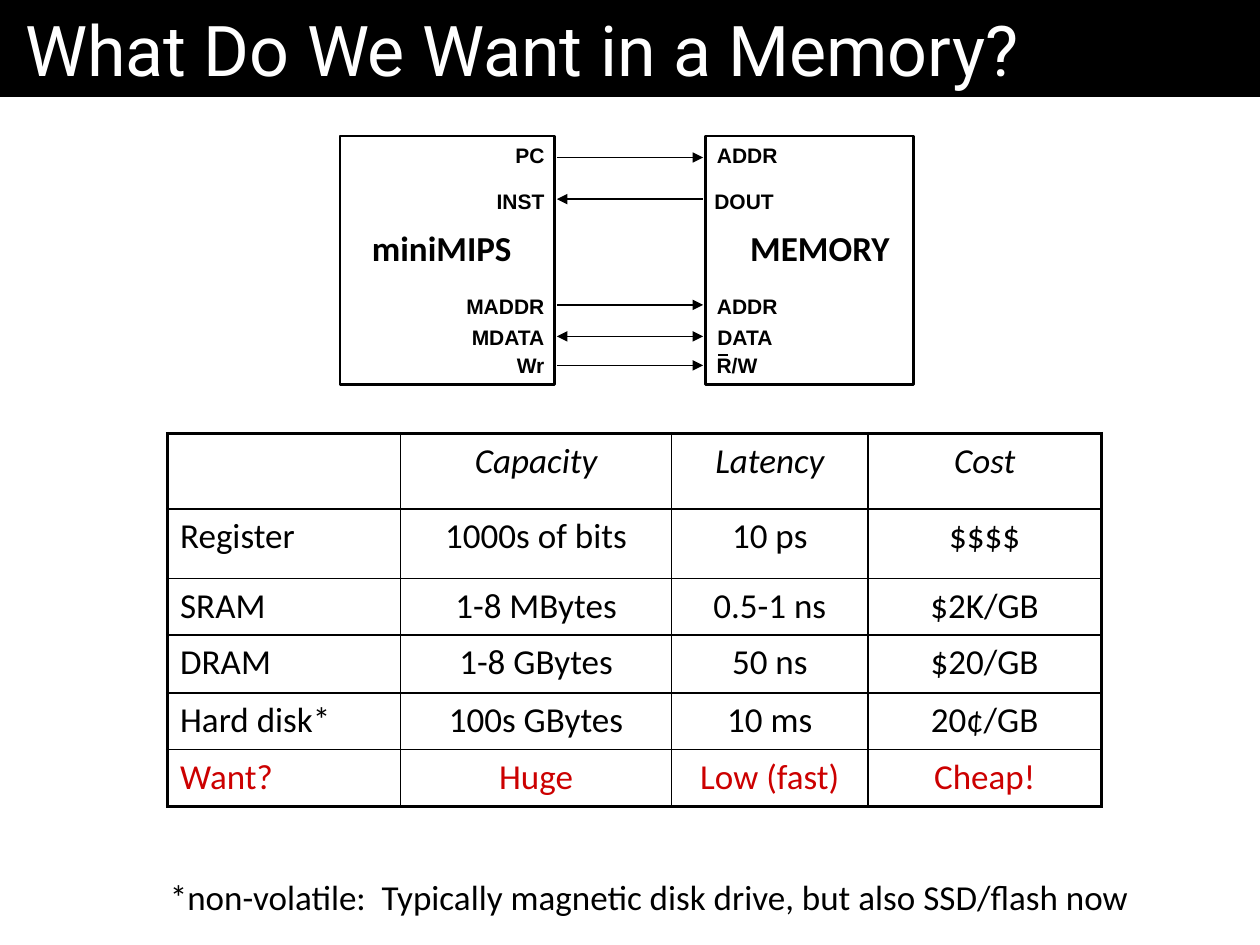
from lxml.etree import SubElement
from pptx import Presentation
from pptx.dml.color import RGBColor
from pptx.enum.shapes import MSO_CONNECTOR, MSO_SHAPE
from pptx.enum.text import MSO_ANCHOR, MSO_AUTO_SIZE, PP_ALIGN
from pptx.oxml import parse_xml
from pptx.oxml.ns import nsdecls, qn
from pptx.util import Inches, Pt

BLACK = RGBColor(0x00, 0x00, 0x00)
WHITE = RGBColor(0xFF, 0xFF, 0xFF)
RED = RGBColor(0xCC, 0x00, 0x00)

TITLE = {"name": "Roboto", "size": Pt(40)}
SIGNAL = {"name": "Arial", "size": Pt(12), "bold": True}
UNIT = {"name": "Calibri", "size": Pt(20), "bold": True}
BODY = {"name": "Calibri", "size": Pt(20)}
HEADING = {**BODY, "italic": True}

# Label top, wire height, processor pin and width, memory pin and width, arrow ends
SIGNALS = [
    (0, 0.17, "PC", 0.43, "ADDR", 0.7, ("tail",)),
    (0.37, 0.5, "INST", 0.58, "DOUT", 0.67, ("head",)),
    (1.2, 1.34, "MADDR", 0.83, "ADDR", 0.7, ("tail",)),
    (1.45, 1.59, "MDATA", 0.8, "DATA", 0.66, ("head", "tail")),
    (1.67, 1.82, "Wr", 0.44, "R/W", 0.54, ("tail",)),
]

COLUMN_WIDTHS = [1.85, 2.15, 1.56, 1.85]
ROW_HEIGHTS = [0.6, 0.55, 0.45, 0.46, 0.45, 0.45]
TECHNOLOGIES = [
    ["", "Capacity", "Latency", "Cost"],
    ["Register", "1000s of bits", "10 ps", "$$$$"],
    ["SRAM", "1-8 MBytes", "0.5-1 ns", "$2K/GB"],
    ["DRAM", "1-8 GBytes", "50 ns", "$20/GB"],
    ["Hard disk*", "100s GBytes", "10 ms", "20¢/GB"],
    ["Want?", "Huge", "Low (fast)", "Cheap!"],
]


def write(frame, text, style, color=BLACK, align=PP_ALIGN.LEFT):
    paragraph = frame.paragraphs[0]
    paragraph.alignment = align
    run = paragraph.add_run()
    run.text = text
    for attribute, value in style.items():
        setattr(run.font, attribute, value)
    run.font.color.rgb = color


def add_label(slide, x, y, width, height, text, style, align=PP_ALIGN.RIGHT):
    frame = slide.shapes.add_textbox(
        Inches(x), Inches(y), Inches(width), Inches(height)).text_frame
    frame.word_wrap = False
    frame.auto_size = MSO_AUTO_SIZE.SHAPE_TO_FIT_TEXT
    write(frame, text, style, align=align)


def add_line(slide, x1, x2, y, weight, ends=()):
    wire = slide.shapes.add_connector(
        MSO_CONNECTOR.STRAIGHT, Inches(x1), Inches(y), Inches(x2), Inches(y))
    wire.line.color.rgb = BLACK
    wire.line.width = Pt(weight)
    properties = wire._element.spPr
    for end in ends:
        SubElement(properties.find(qn("a:ln")), qn(f"a:{end}End"), type="triangle")
    SubElement(properties, qn("a:effectLst"))


def add_rectangle(slide, x, y, width, height):
    rectangle = slide.shapes.add_shape(
        MSO_SHAPE.RECTANGLE, Inches(x), Inches(y), Inches(width), Inches(height))
    rectangle.shadow.inherit = False
    return rectangle


def add_title(slide, x, y, width, height):
    banner = add_rectangle(slide, x, y, width, height)
    banner.fill.solid()
    banner.fill.fore_color.rgb = BLACK
    banner.line.fill.background()
    frame = banner.text_frame
    frame.margin_left = frame.margin_right = Inches(0.2)
    frame.vertical_anchor = MSO_ANCHOR.MIDDLE
    write(frame, "What Do We Want in a Memory?", TITLE, WHITE)


def add_diagram(slide, x, y, width, height):
    processor_width, memory_width = 1.7, 1.65
    memory_x = x + width - memory_width
    wire_start, wire_end = x + processor_width + 0.02, memory_x - 0.02

    # Processor and memory blocks
    for left, block_width, name in [(x, processor_width, "miniMIPS"),
                                    (memory_x, memory_width, "MEMORY")]:
        block = add_rectangle(slide, left, y, block_width, height)
        block.fill.background()
        block.line.color.rgb = BLACK
        block.line.width = Pt(1.5)
        name_x = left if left == x else left + 0.1
        add_label(slide, name_x, y + 0.67, 1.46, 0.44, name, UNIT)

    # Pins and the wires between them
    for top, wire_y, pin, pin_width, port, port_width, ends in SIGNALS:
        add_label(slide, wire_start - pin_width, y + top, pin_width, 0.3, pin, SIGNAL)
        add_label(slide, memory_x - 0.03, y + top, port_width, 0.3, port, SIGNAL)
        add_line(slide, wire_start, wire_end, y + wire_y, 0.75, ends)

    # Bar over the R of R/W
    add_line(slide, memory_x + 0.1, memory_x + 0.18, y + 1.74, 1)


def set_borders(cell, weights):
    properties = cell._tc.get_or_add_tcPr()
    for position, (side, weight) in enumerate(weights.items()):
        properties.insert(position, parse_xml(
            f'<a:ln{side} {nsdecls("a")} w="{Pt(weight)}"><a:solidFill>'
            f'<a:srgbClr val="{BLACK}"/></a:solidFill></a:ln{side}>'))


def add_comparison(slide, x, y, width, height):
    table = slide.shapes.add_table(
        len(TECHNOLOGIES), len(COLUMN_WIDTHS),
        Inches(x), Inches(y), Inches(width), Inches(height)).table
    table.first_row = table.horz_banding = False
    for column, column_width in zip(table.columns, COLUMN_WIDTHS):
        column.width = Inches(column_width)
    for row, row_height in zip(table.rows, ROW_HEIGHTS):
        row.height = Inches(row_height)

    last_row, last_column = len(ROW_HEIGHTS) - 1, len(COLUMN_WIDTHS) - 1
    for r, values in enumerate(TECHNOLOGIES):
        for c, value in enumerate(values):
            cell = table.cell(r, c)
            cell.fill.background()
            outer = {"L": c == 0, "R": c == last_column,
                     "T": r == 0, "B": r == last_row}
            set_borders(cell, {side: 2.25 if edge else 1
                               for side, edge in outer.items()})
            if value:
                write(cell.text_frame, value, HEADING if r == 0 else BODY,
                      RED if r == last_row else BLACK,
                      PP_ALIGN.CENTER if c else PP_ALIGN.LEFT)


def add_footnote(slide, x, y, width, height):
    add_label(slide, x, y, width, height,
              "*non-volatile:  Typically magnetic disk drive, but also SSD/flash now",
              BODY, PP_ALIGN.LEFT)


def main():
    presentation = Presentation()
    presentation.slide_width = Inches(10)
    presentation.slide_height = Inches(7.5)
    slide = presentation.slides.add_slide(presentation.slide_layouts[6])
    add_title(slide, 0, 0, 10, 0.77)
    add_diagram(slide, 2.7, 1.08, 4.55, 1.97)
    add_comparison(slide, 1.33, 3.44, sum(COLUMN_WIDTHS), sum(ROW_HEIGHTS))
    add_footnote(slide, 1.25, 6.9, 8.6, 0.44)
    presentation.save("out.pptx")


if __name__ == "__main__":
    main()
